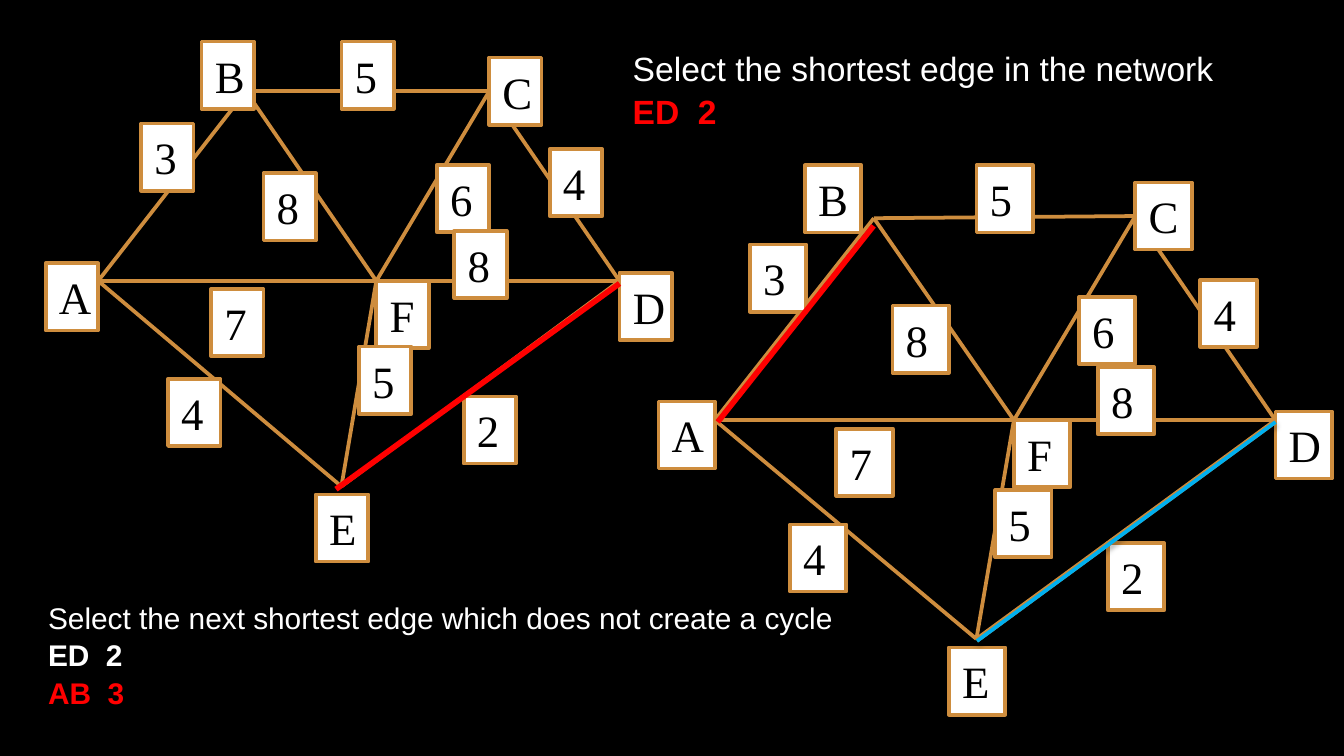
from lxml import etree
from pptx import Presentation
from pptx import util as u
from pptx.dml.color import RGBColor
from pptx.enum import shapes, text
from pptx.oxml.ns import qn

Pt = u.Pt
COLORS = {"black": "000000", "white": "FFFFFF", "edge": "CE8D3E",
          "chosen": "FF0000", "kept": "00B0F0"}
BASE_W, BASE_H = 335.5, 278.6
BOX_W, BOX_H = 28.1, 36
VERTICES = {"A": (28.1, 128.2), "B": (107.3, 26.6), "C": (237.6, 26.6),
            "D": (307.4, 128.2), "E": (158.4, 238.3), "F": (177.1, 128.2)}
EDGES = ["AB", "BC", "CD", "AF", "FD", "BF", "FC", "AE", "EF", "ED"]
NODES = {"A": (0, 118.8), "F": (177.1, 128.2), "B": (83.5, 0),
         "C": (237.6, 8.6), "D": (307.4, 123.8), "E": (144.7, 242.6)}
WEIGHTS = {"ED": ("2", 223.9, 190.1), "AF": ("7", 88.6, 132.5),
           "AE": ("4", 65.5, 180.7), "EF": ("5", 167.8, 163.4),
           "BF": ("8", 116.6, 70.6), "FC": ("6", 209.5, 66.2),
           "CD": ("4", 270, 57.6), "BC": ("5", 158.4, 0),
           "AB": ("3", 51.1, 43.9), "FD": ("8", 218.9, 101.5)}


def rgb(name):
    """Return the named colour."""
    return RGBColor.from_string(COLORS[name])


def write(p, content, font="Arial", size=18, color="white", bold=False):
    """Write formatted text into a paragraph."""
    r = p.add_run()
    r.text = content
    r.font.name, r.font.size, r.font.bold = font, Pt(size), bold
    r.font.color.rgb = rgb(color)


def add_line(s, start, end, color="edge", width=2, shadow=False):
    """Draw a straight line between two points."""
    c = s.shapes.add_connector(shapes.MSO_CONNECTOR.STRAIGHT,
                               *(Pt(v) for v in (*start, *end)))
    c.line.color.rgb = rgb(color)
    c.line.width = Pt(width)
    effects = etree.SubElement(c._element.spPr, qn("a:effectLst"))
    if shadow:
        outer = etree.SubElement(effects, qn("a:outerShdw"), blurRad=str(Pt(3.1)),
                                 dist=str(Pt(1.6)), dir="5400000", rotWithShape="0")
        tone = etree.SubElement(outer, qn("a:srgbClr"), val=COLORS["black"])
        etree.SubElement(tone, qn("a:alpha"), val="38000")
    return c


def add_label(s, content, x, y, width):
    """Draw a white box holding a vertex name or an edge weight."""
    sp = s.shapes.add_shape(shapes.MSO_SHAPE.RECTANGLE,
                            Pt(x), Pt(y), Pt(width), Pt(BOX_H))
    sp.shadow.inherit = False
    sp.fill.solid()
    sp.fill.fore_color.rgb = rgb("white")
    sp.line.color.rgb = rgb("edge")
    sp.line.width = Pt(2)
    tf = sp.text_frame
    tf.word_wrap = True
    tf.vertical_anchor = text.MSO_ANCHOR.TOP
    p = tf.paragraphs[0]
    p.alignment = text.PP_ALIGN.LEFT
    write(p, content, font="Times New Roman", size=24, color="black")
    return sp


def add_network(s, x, y, w, h, moved=None):
    """Draw the weighted network in a box, shifting labels listed in moved."""
    sx, sy = w / BASE_W, (h - BOX_H) / (BASE_H - BOX_H)
    moved = moved or {}

    def place(px, py, key=None):
        """Scale a point into the box."""
        dx, dy = moved.get(key, (0, 0))
        return x + px * sx + dx, y + py * sy + dy

    lines = {e: add_line(s, *(place(*VERTICES[v]) for v in e)) for e in EDGES}
    nodes = {n: add_label(s, n, *place(*at, n), BOX_W * sx)
             for n, at in NODES.items()}
    for edge, (weight, px, py) in WEIGHTS.items():
        add_label(s, weight, *place(px, py, edge), BOX_W * sx)
    for edge in ("BC", "FC"):
        lines[edge].end_connect(nodes["C"], 1)
    lines["CD"].begin_connect(nodes["C"], 1)


def add_caption(s, x, y, w, h, size, rows):
    """Write an instruction followed by the edges chosen so far."""
    tf = s.shapes.add_textbox(Pt(x), Pt(y), Pt(w), Pt(h)).text_frame
    tf.word_wrap = True
    for i, (content, color, bold) in enumerate(rows):
        p = tf.add_paragraph() if i else tf.paragraphs[0]
        pPr = p._p.get_or_add_pPr()
        pPr.set("marL", str(Pt(36)))
        pPr.set("indent", str(Pt(-36)))
        if i:
            p.space_before = Pt(1)
        write(p, content, size=size, color=color, bold=bold)


def main():
    """Build the slide and save it."""
    prs = Presentation()
    prs.slide_width, prs.slide_height = Pt(720), Pt(405)
    s = prs.slides.add_slide(prs.slide_layouts[6])
    s.background.fill.solid()
    s.background.fill.fore_color.rgb = rgb("black")

    add_network(s, 24.5, 22.3, BASE_W, BASE_H)
    add_line(s, (180, 262.1), (331.9, 151.9), "chosen", 3)
    add_caption(s, 331.9, 22.3, 355, 99.4, 18, [
        ("Select the shortest edge in the network", "white", False),
        ("ED  2", "chosen", True)])

    add_network(s, 352.8, 88.6, 360.7, 294.3,
                moved={"B": (-11.3, 0), "AB": (-6, -4.3)})
    kept_edge = (523.4, 343.4), (683.3, 226.1)
    add_line(s, *kept_edge)
    add_line(s, *kept_edge, color="kept", shadow=True)
    add_line(s, (384.5, 226.1), (468, 121), "chosen", 3)
    add_caption(s, 18.7, 317.5, 476.6, 86, 16, [
        ("Select the next shortest edge which does not create a cycle", "white", False),
        ("ED  2", "white", True),
        ("AB  3", "chosen", True)])
    prs.save("out.pptx")


if __name__ == "__main__":
    main()
